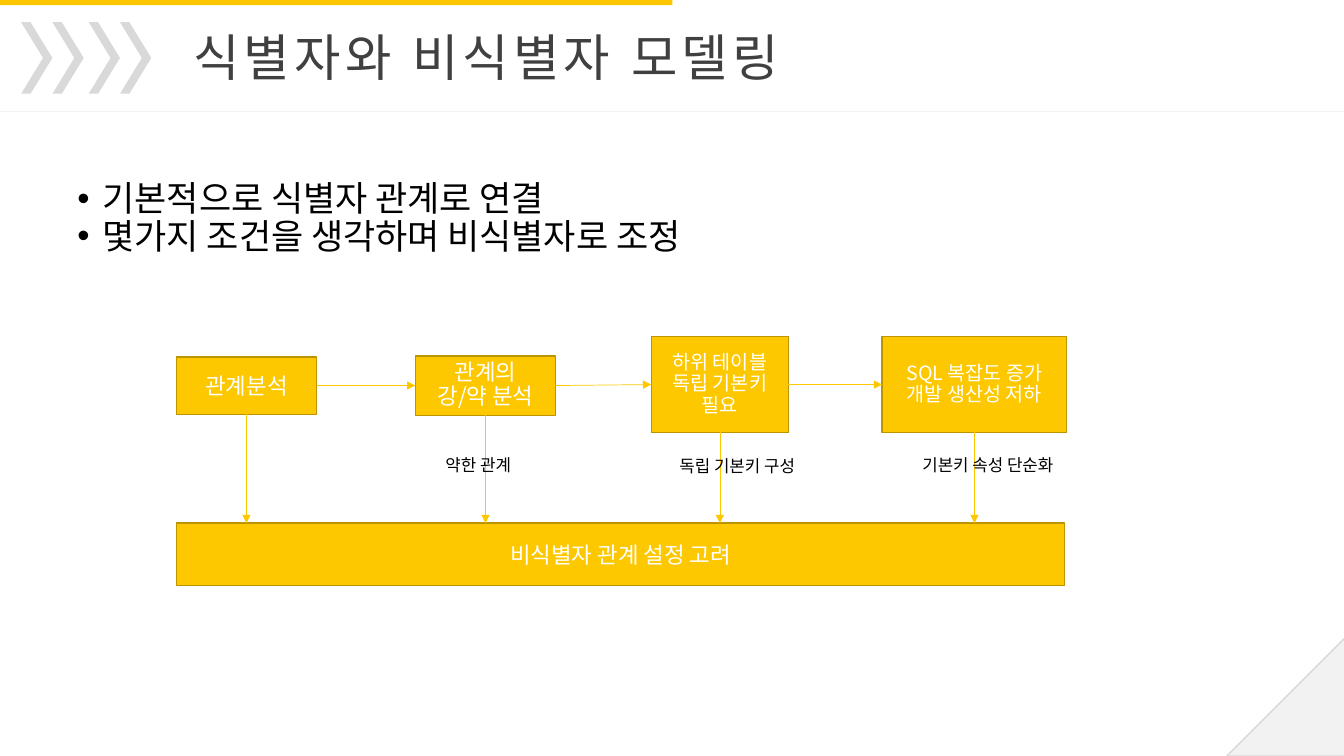
from pptx import Presentation
from pptx.dml.color import RGBColor
from pptx.enum.shapes import MSO_CONNECTOR, MSO_SHAPE as Shape
from pptx.enum.text import MSO_ANCHOR as Anchor, MSO_AUTO_SIZE as AutoSize, PP_ALIGN as Align
from pptx.oxml.ns import qn
from pptx.util import Inches, Pt
from lxml.etree import SubElement

TITLE = "식별자와 비식별자 모델링"
BULLETS = ["기본적으로 식별자 관계로 연결", "몇가지 조건을 생각하며 비식별자로 조정"]
# left, top, width, height, text size, lines
STEPS = [
    (1.75, 3.54, 1.39, 0.57, "step", ["관계분석"]),
    (4.12, 3.53, 1.39, 0.59, "step", ["관계의", "강/약 분석"]),
    (6.46, 3.34, 1.36, 0.95, "small_step", ["하위 테이블", "독립 기본키 필요"]),
    (8.75, 3.34, 1.83, 0.95, "small_step", ["SQL 복잡도 증가", "개발 생산성 저하"]),
]
RESULT = (1.75, 5.19, 8.81, 0.62, "step", ["비식별자 관계 설정 고려"])
# left, top, width, text
CONDITIONS = [
    (4.32, 4.46, 0.94, "약한 관계"),
    (6.64, 4.47, 1.51, "독립 기본키 구성"),
    (9.05, 4.46, 1.76, "기본키 속성 단순화"),
]
CHEVRON_LEFTS = [0.21, 0.52, 0.88, 1.19]

THEME = {
    "title_font": "League Spartan", "font": "Noto Sans CJK KR",
    "accent": "FEC800", "accent_edge": "BC9400",
    "pale": "F2F2F2", "grey": "D9D9D9",
    "title_text": "404040", "text": "000000", "on_accent": "FFFFFF",
    "sizes": {"title": 36, "bullet": 25, "step": 16, "small_step": 14, "condition": 12},
    "line_spacing": 0.9,
}


def color(key):
    return RGBColor.from_string(THEME[key])


def add_run(paragraph, text, size, fill, font="font"):
    run = paragraph.add_run()
    run.text = text
    run.font.size = Pt(THEME["sizes"][size])
    run.font.name = THEME[font]
    run.font.color.rgb = color(fill)
    SubElement(run.font._element, qn("a:ea")).set("typeface", THEME[font])
    return run


def add_figure(slide, kind, left, top, width, height, fill, edge=None):
    figure = slide.shapes.add_shape(kind, *map(Inches, (left, top, width, height)))
    figure.shadow.inherit = False
    figure.fill.solid()
    figure.fill.fore_color.rgb = color(fill)
    if edge:
        figure.line.color.rgb = color(edge)
        figure.line.width = Pt(1)
    else:
        figure.line.fill.background()
    return figure


def add_text_frame(slide, left, top, width, height):
    frame = slide.shapes.add_textbox(*map(Inches, (left, top, width, height))).text_frame
    frame.word_wrap = True
    return frame


def fill_paragraphs(frame, lines):
    """Yield one paragraph per line of text, reusing the first."""
    for index, line in enumerate(lines):
        paragraph = frame.add_paragraph() if index else frame.paragraphs[0]
        if len(lines) > 1:
            paragraph.line_spacing = THEME["line_spacing"]
        yield paragraph, line


def add_box(slide, left, top, width, height, size, lines):
    box = add_figure(slide, Shape.RECTANGLE, left, top, width, height, "accent", "accent_edge")
    box.text_frame.word_wrap = True
    box.text_frame.vertical_anchor = Anchor.MIDDLE
    for paragraph, line in fill_paragraphs(box.text_frame, lines):
        paragraph.alignment = Align.CENTER
        add_run(paragraph, line, size, "on_accent")
    return box


def add_line(slide, start, end, stroke, arrow=False):
    line = slide.shapes.add_connector(MSO_CONNECTOR.STRAIGHT, *start, *end)
    line.line.color.rgb = color(stroke)
    line.line.width = Pt(0.5)
    if arrow:
        SubElement(line.line._get_or_add_ln(), qn("a:tailEnd")).set("type", "triangle")
    SubElement(line._element.spPr, qn("a:effectLst"))
    return line


def add_header(slide):
    add_figure(slide, Shape.RECTANGLE, 0, 0, 6.67, 0.05, "accent")
    add_line(slide, (0, Inches(1.1)), (Inches(13.33), Inches(1.1)), "pale")
    for left in CHEVRON_LEFTS:
        chevron = add_figure(slide, Shape.CHEVRON, left, 0.22, 0.31, 0.71, "grey")
        chevron.adjustments[0] = 0.7
    frame = add_text_frame(slide, 1.82, 0.21, 10.32, 0.71)
    frame.auto_size = AutoSize.SHAPE_TO_FIT_TEXT
    frame.paragraphs[0].alignment = Align.JUSTIFY
    run = add_run(frame.paragraphs[0], TITLE, "title", "title_text", "title_font")
    run.font._element.set("spc", "300")


def add_bullets(slide):
    frame = add_text_frame(slide, 0.67, 1.75, 12, 4.95)
    for paragraph, line in fill_paragraphs(frame, BULLETS):
        properties = paragraph._p.get_or_add_pPr()
        properties.set("marL", str(Inches(0.25)))
        properties.set("indent", str(-Inches(0.25)))
        SubElement(properties, qn("a:buFont")).set("typeface", "Arial")
        SubElement(properties, qn("a:buChar")).set("char", "•")
        add_run(paragraph, line, "bullet", "text")


def add_flow(slide):
    steps = [add_box(slide, *step) for step in STEPS]
    result = add_box(slide, *RESULT)
    for step, following in zip(steps, steps[1:]):
        middle = step.top + step.height // 2
        arrow = add_line(slide, (step.left + step.width, middle), (following.left, middle),
                         "accent", arrow=True)
        arrow.begin_connect(step, 3)
        arrow.end_connect(following, 1)
    for step in steps:
        center = step.left + step.width // 2
        arrow = add_line(slide, (center, step.top + step.height), (center, result.top),
                         "accent", arrow=True)
        arrow.begin_connect(step, 2)
    for left, top, width, text in CONDITIONS:
        frame = add_text_frame(slide, left, top, width, 0.3)
        frame.vertical_anchor = Anchor.MIDDLE
        add_run(frame.paragraphs[0], text, "condition", "text")


def main():
    deck = Presentation()
    deck.slide_width, deck.slide_height = Inches(13.33), Inches(7.5)
    slide = deck.slides.add_slide(deck.slide_layouts[6])
    corner = add_figure(slide, Shape.RIGHT_TRIANGLE, 12.17, 6.33, 1.17, 1.17, "pale", "grey")
    corner._element.spPr.get_or_add_xfrm().set("flipH", "1")
    add_header(slide)
    add_bullets(slide)
    add_flow(slide)
    deck.save("out.pptx")


if __name__ == "__main__":
    main()
